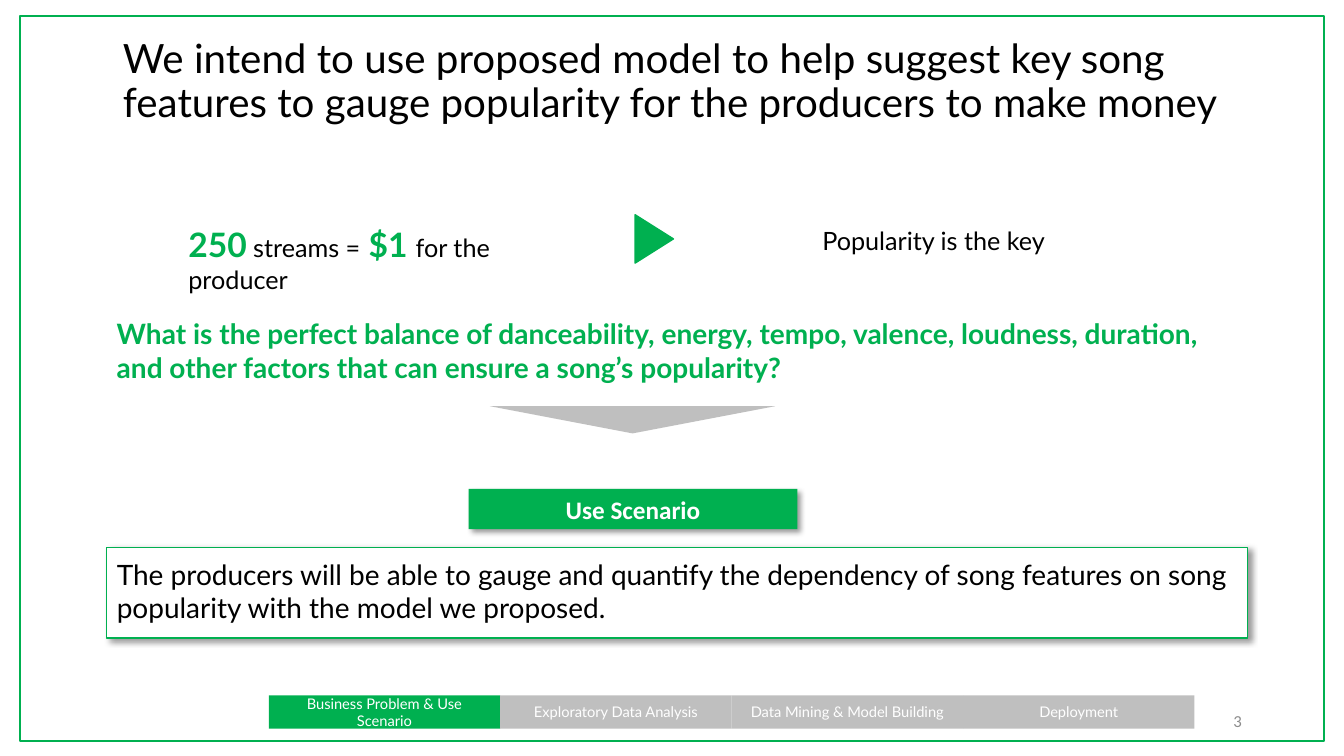
from lxml.etree import SubElement
from pptx import Presentation
from pptx.dml.color import RGBColor
from pptx.enum.shapes import MSO_SHAPE as Shape
from pptx.enum.text import MSO_ANCHOR as Anchor, MSO_AUTO_SIZE as AutoSize, PP_ALIGN as Align
from pptx.oxml.ns import qn
from pptx.util import Inches, Pt

WIDTH, HEIGHT = Inches(13.333), Inches(7.5)
GREEN, GREY, BLACK, WHITE = "00B050", "BFBFBF", "000000", "FFFFFF"
LATO = {"name": "Lato", "size": Pt(18), "bold": False}
STRONG = {**LATO, "size": Pt(24), "bold": True}
STAGES = ["Business Problem & Use Scenario", "Exploratory Data Analysis",
          "Data Mining & Model Building", "Deployment"]
STAGE_WIDTH = 17.22


def set_color(color_format, color):
    color_format.rgb = RGBColor.from_string(color)


def area(left, top, width, height):
    """Turn percentages of the slide's size into lengths."""
    return [int(share * full / 100) for share, full in
            zip((left, top, width, height), (WIDTH, HEIGHT, WIDTH, HEIGHT))]


def write(shape, runs, align=Align.LEFT, anchor=Anchor.TOP):
    """Fill a shape with one paragraph of (text, format, color) runs."""
    frame = shape.text_frame
    frame.word_wrap = True
    frame.vertical_anchor = anchor
    paragraph = frame.paragraphs[0]
    paragraph.alignment = align
    for text, font_format, color in runs:
        run = paragraph.add_run()
        run.text = text
        for name, value in font_format.items():
            setattr(run.font, name, value)
        set_color(run.font.color, color)
    return paragraph


def add_text(slide, place, runs, **layout):
    write(slide.shapes.add_textbox(*area(*place)), runs, **layout)


def add_block(slide, kind, place, fill=None, line=None, line_width=1, rotation=0):
    shape = slide.shapes.add_shape(kind, *area(*place))
    shape.rotation = rotation
    shape.shadow.inherit = False
    if fill:
        shape.fill.solid()
        set_color(shape.fill.fore_color, fill)
    else:
        shape.fill.background()
    if line:
        set_color(shape.line.color, line)
        shape.line.width = Pt(line_width)
    else:
        shape.line.fill.background()
    return shape


def add_shadow(shape):
    effects = shape._element.spPr.find(qn("a:effectLst"))
    shadow = SubElement(effects, qn("a:outerShdw"), blurRad=str(Pt(4)), dist=str(Pt(3)),
                        dir=str(45 * 60000), algn="tl", rotWithShape="0")
    color = SubElement(shadow, qn("a:srgbClr"), val=BLACK)
    SubElement(color, qn("a:alpha"), val="40000")


def add_title(slide, text):
    title = slide.shapes.title
    title.left, title.top, title.width, title.height = area(8.4, 4.27, 83.1, 13.33)
    paragraph = write(title, [(text, {**LATO, "size": Pt(28.8)}, BLACK)], anchor=Anchor.MIDDLE)
    paragraph.line_spacing = 0.9
    title.text_frame.auto_size = AutoSize.NONE


def add_stage_bar(slide, current):
    for index, stage in enumerate(STAGES):
        place = (20 + index * STAGE_WIDTH, 92, STAGE_WIDTH, 4.4)
        block = add_block(slide, Shape.RECTANGLE, place, GREEN if index == current else GREY)
        write(block, [(stage, {**LATO, "size": Pt(10.5)}, WHITE)], Align.CENTER, Anchor.MIDDLE)


def add_scenario(slide):
    body = {**LATO, "size": Pt(20)}
    panel = add_block(slide, Shape.RECTANGLE, (7.95, 72.4, 84.9, 12), WHITE, GREEN)
    add_shadow(panel)
    add_text(slide, (7.95, 73.07, 86.78, 10.27), [
        ("The producers will be able to gauge and quantify the dependency of song "
         "features on song popularity with the model we proposed.", body, BLACK)])
    heading = add_block(slide, Shape.RECTANGLE, (34.88, 64.67, 24.45, 5.33), GREEN)
    add_shadow(heading)
    write(heading, [("Use Scenario", {"name": "Calibri", "size": Pt(18), "bold": True}, WHITE)],
          Align.CENTER, Anchor.MIDDLE)


def main():
    presentation = Presentation()
    presentation.slide_width, presentation.slide_height = WIDTH, HEIGHT
    slide = presentation.slides.add_slide(presentation.slide_layouts[5])

    add_block(slide, Shape.RECTANGLE, (1.5, 2.13, 97, 95.87), line=GREEN, line_width=1.5)
    add_stage_bar(slide, current=0)
    add_title(slide, "We intend to use proposed model to help suggest key song features "
                     "to gauge popularity for the producers to make money")

    add_text(slide, (13.28, 28.93, 31.13, 6.67), [
        ("250", STRONG, GREEN), (" streams =", LATO, BLACK),
        (" $1 ", STRONG, GREEN), ("for the producer", LATO, BLACK)])
    add_block(slide, Shape.ISOSCELES_TRIANGLE, (46.88, 29.07, 3.6, 5.07), GREEN, GREEN, rotation=90)
    add_text(slide, (60.45, 29.2, 31.13, 5.33), [("Popularity is the key", LATO, BLACK)])

    add_text(slide, (7.95, 41.2, 84.9, 10.27), [
        ("What is the perfect balance of danceability, energy, tempo, valence, loudness, "
         "duration, and other factors that can ensure a song’s popularity?",
         {**STRONG, "size": Pt(20)}, GREEN)])
    add_block(slide, Shape.ISOSCELES_TRIANGLE, (36.45, 53.73, 21.23, 3.6), GREY, rotation=180)
    add_scenario(slide)

    add_text(slide, (70.65, 92.67, 22.5, 5.33),
             [("3", {"name": "Calibri", "size": Pt(12)}, "8C8C8C")],
             align=Align.RIGHT, anchor=Anchor.MIDDLE)
    presentation.save("out.pptx")


if __name__ == "__main__":
    main()
